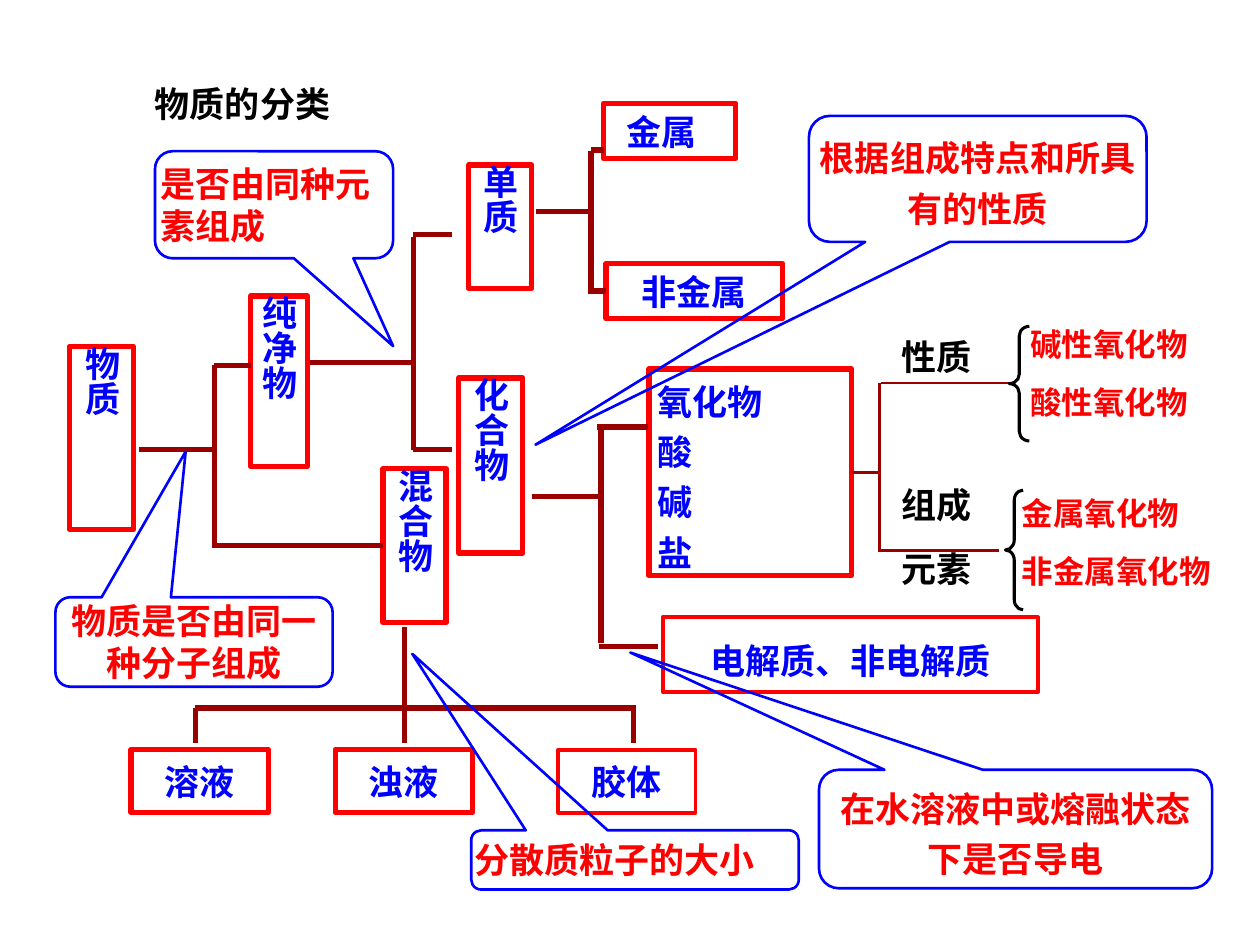
from dataclasses import dataclass

from lxml.etree import SubElement
from pptx import Presentation
from pptx.dml.color import RGBColor
from pptx.enum.shapes import MSO_CONNECTOR as Connector, MSO_SHAPE as Preset
from pptx.enum.text import MSO_ANCHOR as Anchor, MSO_AUTO_SIZE as AutoSize, PP_ALIGN as Align
from pptx.oxml.ns import qn
from pptx.util import Inches, Pt

COLORS = {"black": "000000", "white": "FFFFFF", "red": "FF0000", "blue": "0000FF", "maroon": "990000"}
LEFT_SIDE, RIGHT_SIDE = 1, 3
PADDED = (0.1, 0.05, 0.1, 0.05)


@dataclass
class Box:
    """An area of the slide in inches."""
    left: float
    top: float
    width: float
    height: float

    def inside(self, left, top, width, height):
        """Return a box placed relative to this one."""
        return Box(self.left + left, self.top + top, width, height)

    def lengths(self):
        """Return left, top, width and height as lengths."""
        return [Inches(value) for value in (self.left, self.top, self.width, self.height)]


def color(name):
    """Return a named colour."""
    return RGBColor.from_string(COLORS[name])


def write(shape, text, ink="blue", size=20, font="Times New Roman", align=Align.CENTER,
          spacing=None, before=0, insets=(0, 0, 0, 0), grow=False, vertical=False):
    """Write one paragraph per line of text into a shape."""
    frame = shape.text_frame
    frame.word_wrap = True
    frame.auto_size = AutoSize.SHAPE_TO_FIT_TEXT if grow else AutoSize.NONE
    frame.vertical_anchor = Anchor.MIDDLE
    frame.margin_left, frame.margin_top, frame.margin_right, frame.margin_bottom = map(Inches, insets)
    if vertical:
        shape.element.txBody.bodyPr.set("vert", "eaVert")
    for index, line in enumerate(text.split("\n")):
        paragraph = frame.paragraphs[0] if index == 0 else frame.add_paragraph()
        paragraph.alignment = align
        if spacing:
            paragraph.line_spacing = spacing
        if index:
            paragraph.space_before = Pt(before)
        run = paragraph.add_run()
        run.text = line
        run.font.name, run.font.size, run.font.bold = font, Pt(size), True
        run.font.color.rgb = color(ink)


def add_outline(slide, preset, box, ink, weight, fill=None):
    """Add an outlined preset shape."""
    shape = slide.shapes.add_shape(preset, *box.lengths())
    shape.shadow.inherit = False
    shape.line.color.rgb = color(ink)
    shape.line.width = Pt(weight)
    if fill:
        shape.fill.solid()
        shape.fill.fore_color.rgb = color(fill)
    else:
        shape.fill.background()
    return shape


def add_node(slide, box, text, weight=3, fill="white", **text_format):
    """Add a red-framed rectangle with text."""
    shape = add_outline(slide, Preset.RECTANGLE, box, "red", weight, fill)
    write(shape, text, **text_format)
    return shape


def add_label(slide, box, text, **text_format):
    """Add a text box."""
    label = slide.shapes.add_textbox(*box.lengths())
    write(label, text, font="Arial", insets=PADDED, grow=True, **text_format)


def add_line(slide, box, x1, y1, x2, y2, weight=3):
    """Add a straight line between two points of a box."""
    ends = (box.left + x1, box.top + y1, box.left + x2, box.top + y2)
    line = slide.shapes.add_connector(Connector.STRAIGHT, *map(Inches, ends))
    line.line.color.rgb = color("maroon")
    line.line.width = Pt(weight)
    SubElement(line.element.spPr, qn("a:effectLst"))
    return line


def add_lines(slide, box, *ends):
    """Add several lines inside a box."""
    for points in ends:
        add_line(slide, box, *points)


def add_matter_tree(slide, box):
    """Divide matter into pure substances and mixtures."""
    for place, text in (((0, 1.45, 0.51, 1.45), "物质"),
                        ((1.44, 1.05, 0.45, 1.35), "纯净物"),
                        ((3.17, 0.01, 0.5, 0.98), "单质"),
                        ((3.09, 1.7, 0.51, 1.39), "化合物")):
        add_node(slide, box.inside(*place), text, vertical=True)
    mixture = add_node(slide, box.inside(2.49, 2.42, 0.5, 1.22), "混合物", fill=None, vertical=True)
    add_lines(slide, box, (0.55, 2.27, 1.17, 2.27), (1.15, 1.6, 1.15, 3.05), (1.15, 1.6, 1.44, 1.6),
              (1.91, 1.58, 2.73, 1.58), (2.73, 0.58, 2.73, 2.27),
              (2.73, 0.56, 3.04, 0.56), (2.73, 2.27, 3.04, 2.27))
    add_line(slide, box, 1.15, 3.03, 2.49, 3.03).end_connect(mixture, LEFT_SIDE)


def add_element_tree(slide, box):
    """Divide elements into metals and nonmetals."""
    shared = {"fill": None, "font": "Arial", "grow": True}
    add_node(slide, box.inside(0.54, 0.02, 1.05, 0.44), "金属", align=Align.LEFT,
             insets=(0.18, 0.05, 0.1, 0.05), **shared)
    nonmetal = add_node(slide, box.inside(0.56, 1.29, 1.4, 0.44), "非金属", insets=PADDED, **shared)
    add_lines(slide, box, (0, 0.88, 0.42, 0.88), (0.44, 0.4, 0.44, 1.53), (0.44, 0.39, 0.54, 0.39))
    add_line(slide, box, 0.44, 1.51, 0.56, 1.51).end_connect(nonmetal, LEFT_SIDE)


def add_dispersion_tree(slide, box):
    """Divide mixtures into three dispersions."""
    for left, text, weight, fill in ((0, "溶液", 3, "white"), (1.62, "浊液", 3, "white"),
                                     (3.39, "胶体", 2.25, None)):
        add_node(slide, box.inside(left, 0.97, 1.09, 0.5), text, weight, fill)
    rail = 0.64
    add_lines(slide, box, (0.51, rail, 4.01, rail),
              *((x, top, x, 0.92) for x, top in ((0.51, rail), (2.17, 0), (3.99, rail))))


def add_compound_tree(slide, box):
    """Divide compounds two ways and return the oxide node."""
    add_node(slide, box.inside(1.04, 2, 2.98, 0.59), "电解质、非电解质", 2.25, None, spacing=1.3)
    oxides = add_node(slide, box.inside(0.93, 0.03, 1.61, 1.64), "氧化物\n酸\n碱\n盐",
                      align=Align.LEFT, spacing=1.2, insets=(0.07, 0, 0, 0))
    add_lines(slide, box, (0.53, 2.23, 1, 2.23), (0, 1.04, 0.53, 1.04),
              (0.55, 0.49, 0.55, 2.2), (0.52, 0.49, 0.92, 0.49))
    return oxides


def add_oxide_tree(slide, box, oxides):
    """Divide oxides by property and by element."""
    for place, text, ink, size, before in (
            ((1.34, 0.03, 1.85, 0.86), "碱性氧化物\n酸性氧化物", "red", 18, 11.2),
            ((1.27, 1.37, 1.89, 0.86), "金属氧化物\n非金属氧化物", "red", 18, 11.2),
            ((0.32, 0.11, 1.34, 0.44), "性质", "black", 20, 0),
            ((0.32, 1.29, 1.26, 0.94), "组成\n元素", "black", 20, 12.5)):
        add_label(slide, box.inside(*place), text, ink=ink, size=size, before=before, align=Align.LEFT)
    add_line(slide, box, 0.02, 1.25, 0.24, 1.25, 1.5).begin_connect(oxides, RIGHT_SIDE)
    add_lines(slide, box, (0.24, 0.54, 0.24, 1.88, 1.75),
              (0.25, 0.54, 1.27, 0.54, 1.5), (0.25, 1.87, 1.19, 1.87, 1.5))
    for place, curve in (((1.27, 0.09, 0.16, 0.91), 0.47), ((1.24, 1.39, 0.14, 0.95), 0.57)):
        brace = add_outline(slide, Preset.LEFT_BRACE, box.inside(*place), "black", 1.75)
        brace.adjustments[0] = curve


def add_callout(slide, box, text, tip_x, tip_y, **text_format):
    """Add a rounded callout pointing at a branch."""
    callout = add_outline(slide, Preset.ROUNDED_RECTANGULAR_CALLOUT, box, "blue", 1.5)
    callout.adjustments[0] = tip_x
    callout.adjustments[1] = tip_y
    write(callout, text, ink="red", **text_format)


def main():
    """Build and save the slide."""
    presentation = Presentation()
    presentation.slide_width, presentation.slide_height = Inches(10), Inches(7.5)
    slide = presentation.slides.add_slide(presentation.slide_layouts[6])
    add_label(slide, Box(0.2, 0.6, 3.45, 0.44), "物质的分类", ink="black")
    add_matter_tree(slide, Box(0.55, 1.3, 3.67, 3.64))
    add_element_tree(slide, Box(4.25, 0.8, 1.96, 1.73))
    add_dispersion_tree(slide, Box(1.04, 4.98, 4.48, 1.47))
    oxides = add_compound_tree(slide, Box(4.22, 2.9, 4.02, 2.59))
    add_oxide_tree(slide, Box(6.74, 2.5, 3.19, 2.34), oxides)
    add_callout(slide, Box(0.44, 4.74, 2.2, 0.71), "物质是否由同一种分子组成", -0.03, -2.13)
    add_callout(slide, Box(1.23, 1.2, 1.89, 0.85), "是否由同种元素组成", 0.5, 1.32, align=Align.LEFT)
    add_callout(slide, Box(6.42, 0.92, 2.68, 1), "根据组成特点和所具有的性质", -1.31, 2.11, spacing=1.2)
    add_callout(slide, Box(6.5, 6.11, 3.12, 0.94), "在水溶液中或熔融状态下是否导电", -0.98, -1.49, spacing=1.2)
    add_callout(slide, Box(3.74, 6.59, 2.6, 0.47), "分散质粒子的大小", -0.68, -3.48, align=Align.LEFT)
    presentation.save("out.pptx")


if __name__ == "__main__":
    main()
